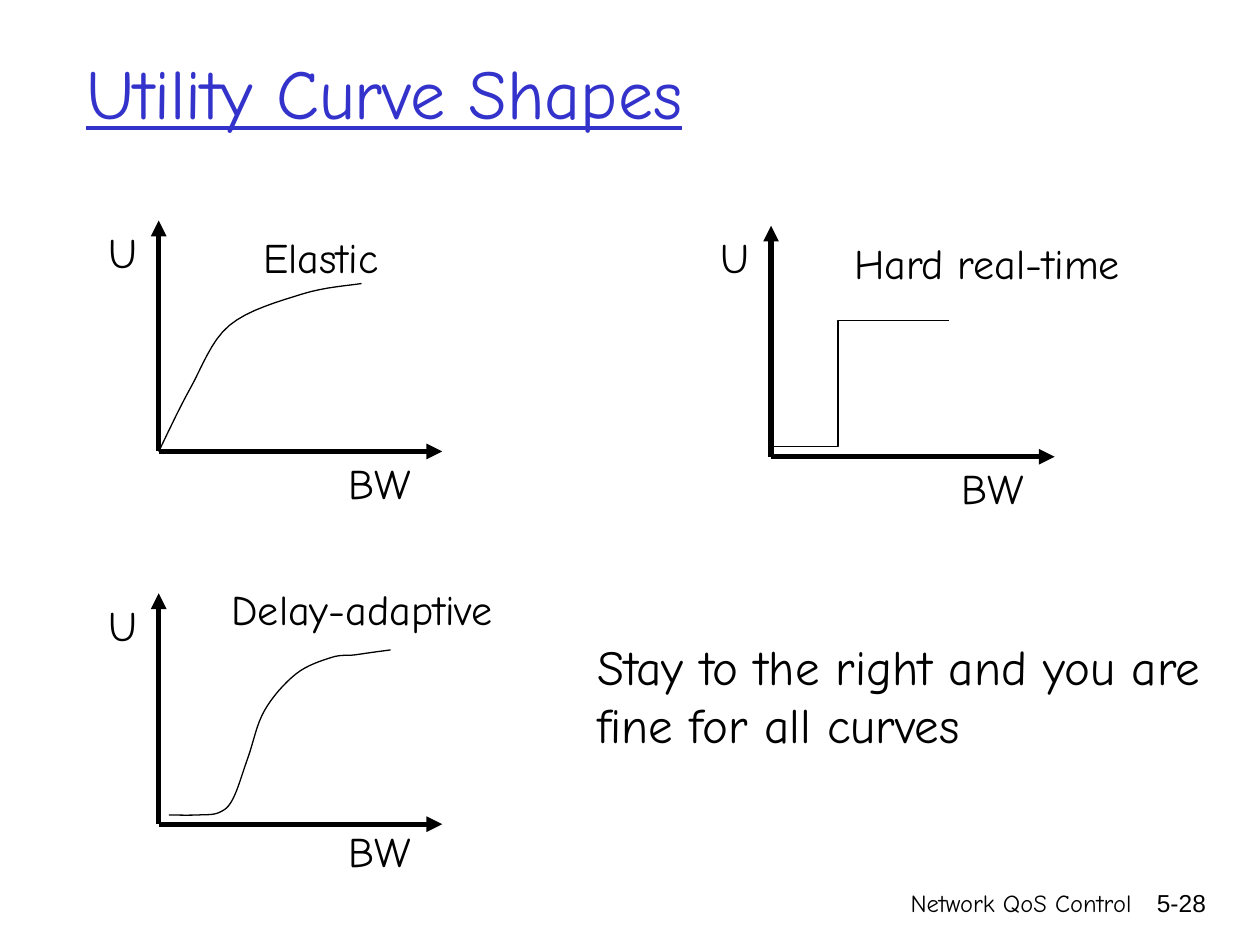
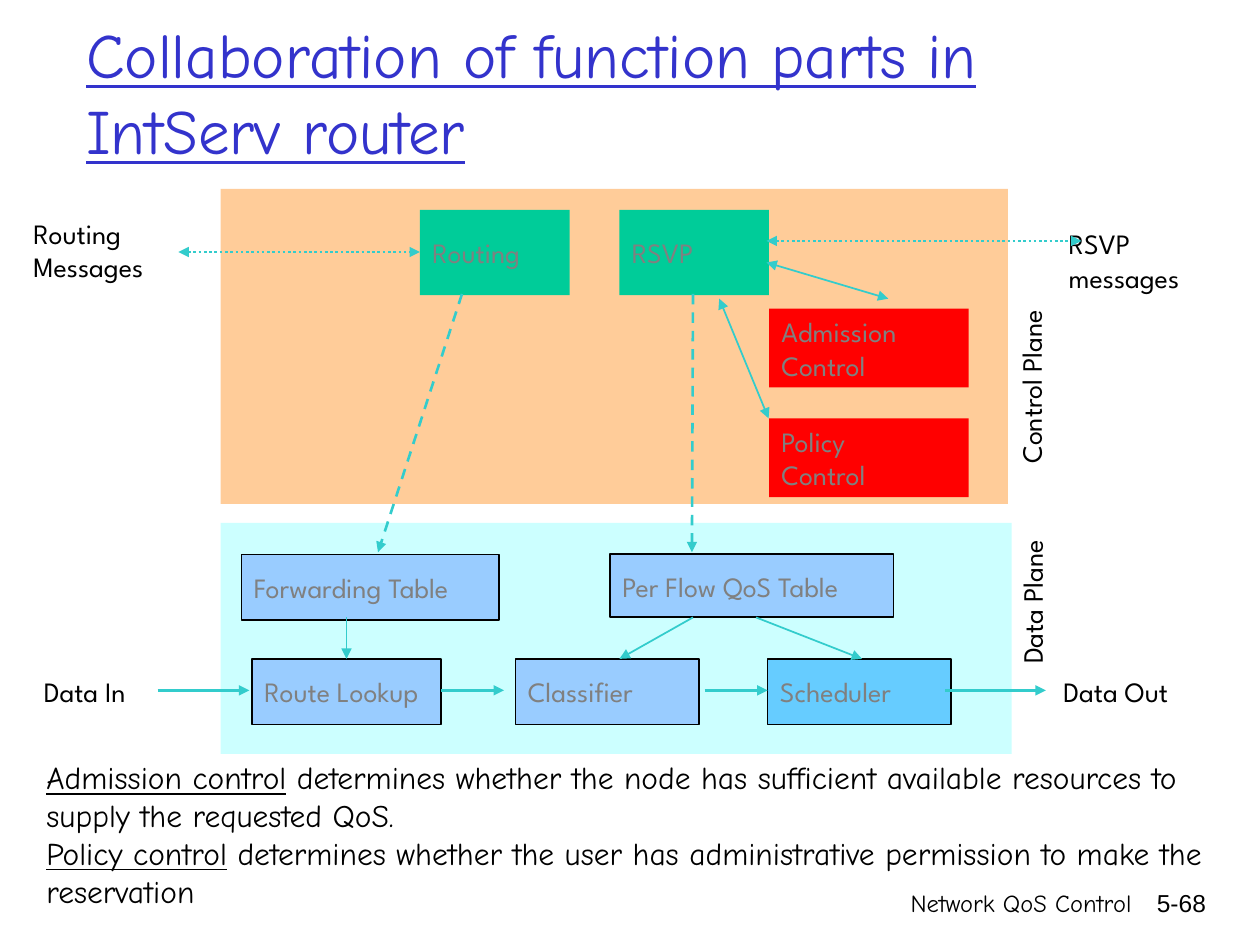
from lxml import etree
from pptx import Presentation
from pptx import util as u
from pptx.dml.color import RGBColor
from pptx.enum import dml, shapes, text
from pptx.oxml.ns import qn

COLS, ROWS = 120, 90
WIDE, HIGH = u.Inches(10), u.Inches(7.5)
HAND, SANS, PLAIN = "Comic Neue", "League Spartan", "Arial"
BLACK, BLUE, TEAL, GREY = "000000", "3333CC", "33CCCC", "808080"
SKY, GREEN, RED = "99CCFF", "00CC99", "FF0000"
DASH, DOT = dml.MSO_LINE.DASH, dml.MSO_LINE.ROUND_DOT


def tint(code):
    """Turn a hex string into a colour."""
    return RGBColor.from_string(code)


def spot(x, y):
    """Turn a column and a row into slide lengths."""
    return round(x * WIDE / COLS), round(y * HIGH / ROWS)


def shift(box, x, y):
    """Move a point from the box's own grid to the slide's grid."""
    return box[0] + x, box[1] + y


def write(frame, paras, size, font, color, align=text.PP_ALIGN.LEFT):
    """Fill a frame; each paragraph is a list of (words, underlined) runs."""
    for i, runs in enumerate(paras):
        para = frame.add_paragraph() if i else frame.paragraphs[0]
        para.alignment = align
        for words, under in runs:
            run = para.add_run()
            run.text = words
            run.font.size = u.Pt(size)
            run.font.name = font
            run.font.underline = under
            run.font.color.rgb = tint(color)


def lines(words):
    """Make plain paragraphs from the lines of a string."""
    return [[(part, False)] for part in words.split("\n")]


def label(slide, box, paras, size, font, wrap=False, turn=0,
          align=text.PP_ALIGN.LEFT):
    """Add a black text box."""
    item = slide.shapes.add_textbox(*spot(*box[:2]), *spot(*box[2:]))
    item.rotation = turn
    frame = item.text_frame
    frame.word_wrap = wrap
    frame.auto_size = text.MSO_AUTO_SIZE.SHAPE_TO_FIT_TEXT
    write(frame, paras, size, font, BLACK, align)


def block(slide, box, fill, words="", edge=None):
    """Add a filled rectangle with optional words and outline."""
    item = slide.shapes.add_shape(shapes.MSO_SHAPE.RECTANGLE,
                                  *spot(*box[:2]), *spot(*box[2:]))
    item.shadow.inherit = False
    item.fill.solid()
    item.fill.fore_color.rgb = tint(fill)
    if edge:
        item.line.color.rgb = tint(edge)
        item.line.width = u.Pt(1)
    else:
        item.line.fill.background()
    if words:
        item.text_frame.vertical_anchor = text.MSO_ANCHOR.MIDDLE
        write(item.text_frame, lines(words), 16, SANS, GREY)


def arrow(slide, start, end, color, width, dash=None, both=False):
    """Draw a line with a head at its end, or at both ends."""
    item = slide.shapes.add_connector(shapes.MSO_CONNECTOR.STRAIGHT,
                                      *spot(*start), *spot(*end))
    item.line.color.rgb = tint(color)
    item.line.width = u.Pt(width)
    if dash:
        item.line.dash_style = dash
    edge = item.element.find(".//" + qn("a:ln"))
    for tip in ("a:headEnd", "a:tailEnd") if both else ("a:tailEnd",):
        etree.SubElement(edge, qn(tip), type="triangle")
    etree.SubElement(edge.getparent(), qn("a:effectLst"))


def smooth(knots, steps=8):
    """Return points on a rounded curve through the knots."""
    ends = [knots[0], *knots, knots[-1]]
    points = [knots[0]]
    for a, b, c, d in zip(ends, ends[1:], ends[2:], ends[3:]):
        for t in (n / steps for n in range(1, steps + 1)):
            points.append(tuple(
                q + t / 2 * (r - p + t * (2 * p - 5 * q + 4 * r - s
                                          + t * (3 * q - p - 3 * r + s)))
                for p, q, r, s in zip(a, b, c, d)))
    return points


def graph(slide, box, name, place, knots, gap=0, curved=True):
    """Draw utility against bandwidth with axes along the box's edges."""
    wide, high = box[2:]
    base = shift(box, 0, high)
    for end in (shift(box, wide, high), box[:2]):
        arrow(slide, base, end, BLACK, 3)
    for words, (x, y), width in (("BW", (16.92, high + gap), 8.88),
                                 ("U", (-6, 0), 5.28),
                                 (name, place[:2], place[2])):
        label(slide, (*shift(box, x, y), width, 6), lines(words), 24, HAND)
    points = [spot(*shift(box, *p))
              for p in (smooth(knots) if curved else knots)]
    pen = slide.shapes.build_freeform(*points[0], scale=1.0)
    pen.add_line_segments(points[1:], close=False)
    curve = pen.convert_to_shape()
    curve.shadow.inherit = False
    curve.fill.background()
    curve.line.color.rgb = tint(BLACK)
    curve.line.width = u.Pt(0.75)


def planes(slide, box):
    """Draw the two planes, their parts and the words around them."""
    def put(x, y, w, h):
        return (*shift(box, x, y), w, h)

    block(slide, put(0, 0, 75, 30), "FFCC99")
    block(slide, put(0, 31.8, box[2], 22), "CCFFFF")
    for words, x, y, w, h, turn in (
            ("Data In", -18, 45.7, 11.64, 4.44, 0),
            ("Data Out", 79.1, 45.7, 16, 4.44, 0),
            ("Routing\nMessages", -19, 2, 15.36, 7.68, 0),
            ("RSVP\nmessages", 79.6, 3, 15.5, 7.68, 0),
            ("Control Plane", 67.2, 15.1, 20, 4.44, 270),
            ("Data Plane", 69, 35.9, 16.56, 4.44, 270)):
        label(slide, put(x, y, w, h), lines(words), 16, SANS, turn=turn)
    for words, x in (("Routing", 19), ("RSVP", 38)):
        block(slide, put(x, 2, 14.25, 8.1), GREEN, words)
    for words, y in (("Admission", 11.4), ("Policy", 21.85)):
        block(slide, put(52.25, y, 19, 7.5), RED, words + "\nControl")
    for words, x, y, w, h, fill in (
            ("Forwarding Table", 2, 34.8, 24.5, 6.25, SKY),
            ("Per Flow QoS Table", 37.1, 34.8, 27, 6, SKY),
            ("Route Lookup", 3, 44.75, 18, 6.25, SKY),
            ("Classifier", 28.1, 44.75, 17.5, 6.25, SKY),
            ("Scheduler", 52.1, 44.75, 17.5, 6.25, "66CCFF")):
        block(slide, put(x, y, w, h), fill, words, BLACK)


def flows(slide, box):
    """Draw the arrows between the parts of the router."""
    def link(start, end, *style):
        arrow(slide, shift(box, *start), shift(box, *end), TEAL, *style)

    for x, end in ((-6, 2.75), (21, 27), (46.1, 52.1), (69, 78.6)):
        link((x, 47.75), (end, 47.75), 1.5)
    for x, end in ((23, 15), (45, 44.9)):
        link((x, 10), (end, 34.6), 1.5, DASH)
    for x, end, y in ((-4, 19, 6), (52, 82, 4.95)):
        link((x, y), (end, y), 1.5, DOT, True)
    for start, end in (((52, 7), (63.6, 10.45)),
                       ((47.5, 10.45), (52.2, 21.85))):
        link(start, end, 1, None, True)
    for x, end in ((12, 12), (45, 38), (51, 61.1)):
        link((x, 40.8), (end, 44.75), 1)


def begin(deck, title, size, number):
    """Add a slide with its title and footer."""
    slide = deck.slides.add_slide(deck.slide_layouts[5])
    head = slide.shapes.title
    head.left, head.top = spot(7, 3)
    head.width, head.height = spot(102, 11.4)
    frame = head.text_frame
    frame.word_wrap = True
    frame.auto_size = text.MSO_AUTO_SIZE.NONE
    frame.vertical_anchor = text.MSO_ANCHOR.MIDDLE
    write(frame, [[(title, True)]], size, HAND, BLUE)
    for words, x, w, font in (("Network QoS Control", 58.32, 50.64, HAND),
                              (number, 107.16, 8.88, PLAIN)):
        label(slide, (x, 84, w, 6), lines(words), 14, font, True,
              align=text.PP_ALIGN.RIGHT)
    return slide


def curves(deck):
    """Build the slide of utility curves."""
    slide = begin(deck, "Utility Curve Shapes", 40, "5-28")
    label(slide, (55.68, 60, 61.2, 12.5),
          lines("Stay to the right and you are fine for all curves"),
          28, HAND, True)
    size = (27, 22)
    graph(slide, (15.12, 21, *size), "Elastic", (8.76, 0.5, 14.16),
          [(0, 22), (3, 16), (6.72, 10), (13.68, 7), (19.32, 6)])
    graph(slide, (73.44, 21.5, *size), "Hard real-time", (6.72, 0.5, 27.84),
          [(0, 21), (6.36, 21), (6.36, 9), (16.92, 9)], curved=False)
    graph(slide, (15.12, 56.5, *size), "Delay-adaptive", (5.76, -1.56, 29.16),
          [(0.96, 21.12), (3.72, 21.12), (5.76, 20.88), (7.08, 19.56),
           (8.52, 15.6), (10.08, 11.16), (13.08, 7.68), (16.44, 6.12),
           (18.6, 5.88), (20.28, 5.64), (22.08, 5.4)], gap=-0.5)


def router(deck):
    """Build the slide of the router's parts."""
    slide = begin(deck, "Collaboration of function parts in IntServ router",
                  36, "5-68")
    box = (21, 18, 75.36, 53.8)
    planes(slide, box)
    flows(slide, box)
    label(slide, (3.24, 71.64, 112.8, 15.72), [
        [("Admission control", True),
         (" determines whether the node has sufficient available resources"
          " to supply the requested QoS.", False)],
        [("Policy control", True),
         (" determines whether the user has administrative permission"
          " to make the reservation", False)]], 18, HAND, True)


def main():
    """Build and save the deck."""
    deck = Presentation()
    deck.slide_width, deck.slide_height = WIDE, HIGH
    curves(deck)
    router(deck)
    deck.save("out.pptx")


if __name__ == "__main__":
    main()
